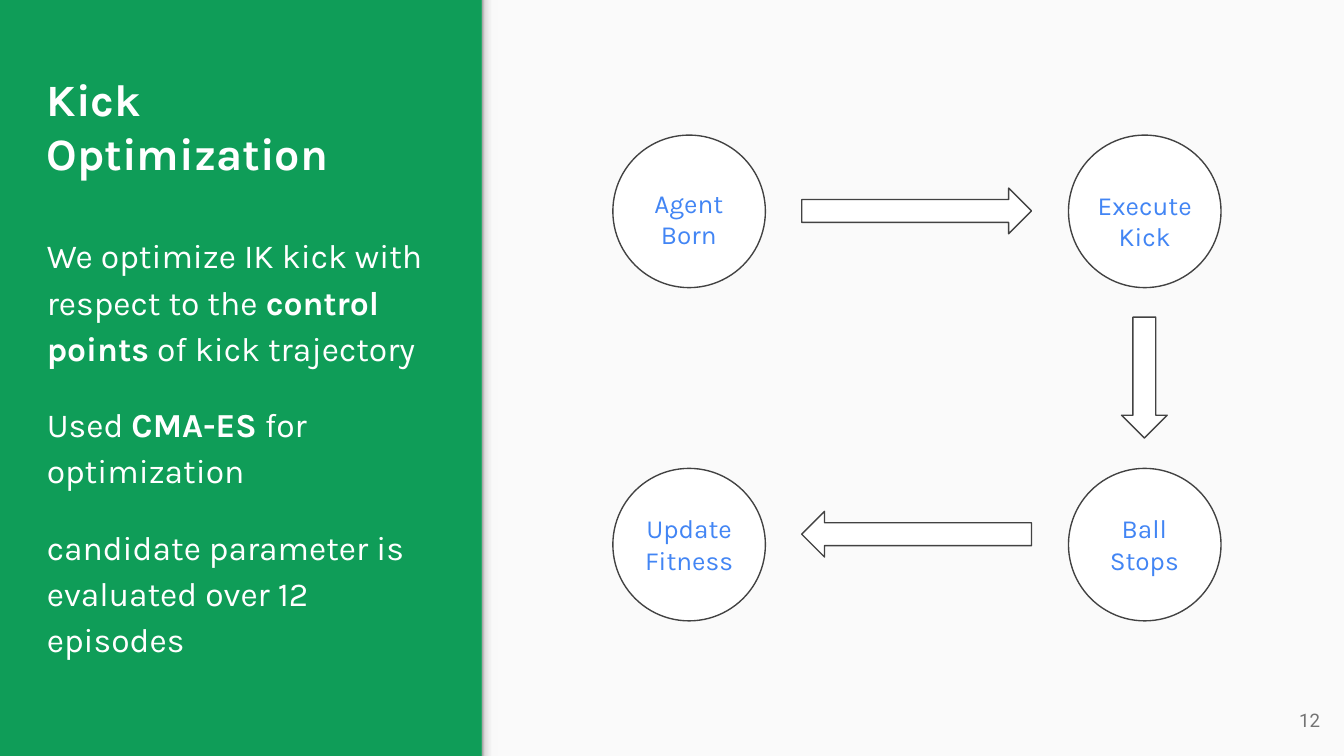
from lxml import etree
from pptx import Presentation
from pptx.dml.color import RGBColor
from pptx.enum.shapes import MSO_SHAPE
from pptx.enum.text import MSO_ANCHOR, PP_ALIGN
from pptx.oxml.ns import qn
from pptx.util import Pt

PX = 4572  # EMU per px, 200 px to the inch
WIDTH, HEIGHT = 2000, 1125
PANEL_LEFT = 717

GREEN = RGBColor(0x0F, 0x9D, 0x58)
PAPER = RGBColor(0xFA, 0xFA, 0xFA)
WHITE = RGBColor(0xFF, 0xFF, 0xFF)
OUTLINE = RGBColor(0x42, 0x42, 0x42)
BLUE = RGBColor(0x42, 0x85, 0xF4)
GRAY = RGBColor(0x73, 0x73, 0x73)
EDGE_STOPS = [
    (0, RGBColor(0x99, 0x99, 0x99)),
    (20, RGBColor(0xDE, 0xDE, 0xDE)),
    (64, RGBColor(0xF9, 0xF9, 0xF9)),
    (100, RGBColor(0xF9, 0xF9, 0xF9)),
]

RECTANGLE, OVAL = MSO_SHAPE.RECTANGLE, MSO_SHAPE.OVAL
RIGHT_ARROW, DOWN_ARROW, LEFT_ARROW = (
    MSO_SHAPE.RIGHT_ARROW, MSO_SHAPE.DOWN_ARROW, MSO_SHAPE.LEFT_ARROW)
TOP, MIDDLE, BOTTOM = MSO_ANCHOR.TOP, MSO_ANCHOR.MIDDLE, MSO_ANCHOR.BOTTOM
LEFT, CENTER, RIGHT = PP_ALIGN.LEFT, PP_ALIGN.CENTER, PP_ALIGN.RIGHT


class SlideBuilder:
    font = "Karla"
    inset = 20
    line_width = Pt(0.75)

    def __init__(self, slide):
        self.slide = slide

    def background(self, color):
        fill = self.slide.background.fill
        fill.solid()
        fill.fore_color.rgb = color

    def shape(self, kind, left, top, width, height, color, outline=None):
        shape = self.slide.shapes.add_shape(
            kind, left * PX, top * PX, width * PX, height * PX)
        shape.shadow.inherit = False
        shape.fill.solid()
        shape.fill.fore_color.rgb = color
        if outline is None:
            shape.line.fill.background()
        else:
            shape.line.color.rgb = outline
            shape.line.width = self.line_width
        return shape

    def gradient_strip(self, left, top, width, height, stops):
        """Add a rectangle shaded from left to right."""
        strip = self.shape(RECTANGLE, left, top, width, height, WHITE)
        strip.fill.gradient()
        strip.fill.gradient_angle = 0
        stop_list = next(strip._element.iter(qn("a:gsLst")))
        for stop in list(stop_list):
            stop_list.remove(stop)
        for percent, color in stops:
            stop = etree.SubElement(stop_list, qn("a:gs"), pos=str(percent * 1000))
            etree.SubElement(stop, qn("a:srgbClr"), val=str(color))

    def text(self, left, top, width, height, paragraphs, size, color,
             font=None, bold=False, align=LEFT, anchor=TOP,
             line_spacing=None, gap=0):
        """Add a text box; each paragraph is a list of spans, every second one bold."""
        box = self.slide.shapes.add_textbox(
            left * PX, top * PX, width * PX, height * PX)
        frame = box.text_frame
        frame.word_wrap = True
        frame.vertical_anchor = anchor
        frame.margin_left = frame.margin_right = self.inset * PX
        frame.margin_top = frame.margin_bottom = self.inset * PX
        for index, spans in enumerate(paragraphs):
            para = frame.paragraphs[0] if index == 0 else frame.add_paragraph()
            para.alignment = align
            if line_spacing:
                para.line_spacing = line_spacing
            if index and gap:
                para.space_before = Pt(gap)
            para.font.name = font or self.font
            para.font.size = Pt(size)
            para.font.color.rgb = color
            para.font.bold = bold
            for position, words in enumerate(spans):
                span = para.add_run()
                span.text = words
                if position % 2:
                    span.font.bold = True


def main():
    deck = Presentation()
    deck.slide_width, deck.slide_height = WIDTH * PX, HEIGHT * PX
    page = SlideBuilder(deck.slides.add_slide(deck.slide_layouts[6]))

    page.background(GREEN)
    page.shape(RECTANGLE, PANEL_LEFT, 0, WIDTH - PANEL_LEFT, HEIGHT, PAPER)
    page.gradient_strip(PANEL_LEFT, 0, 24, HEIGHT, EDGE_STOPS)

    page.text(50, 79, 614, 208, [["Kick Optimization"]], 24, WHITE,
              bold=True, anchor=BOTTOM)
    page.text(50, 321, 614, 692, [
        ["We optimize IK kick with respect to the ", "control points",
         " of kick trajectory"],
        ["Used ", "CMA-ES", " for optimization"],
        ["candidate parameter is evaluated over 12 episodes"],
    ], 18, WHITE, line_spacing=1.15, gap=16)
    page.text(1864, 1028, 120, 86, [["12"]], 10, GRAY, font="Roboto",
              align=RIGHT, anchor=MIDDLE)

    diameter = 227
    left_column, right_column = 912, 1590
    top_row, bottom_row = 201, 697
    steps = [
        ("Agent Born", left_column, top_row, 259, 168),
        ("Execute Kick", right_column, top_row, 262, diameter),
        ("Ball Stops", right_column, bottom_row, 743, 168),
        ("Update Fitness", left_column, bottom_row, 743, diameter),
    ]
    for label, left, top, label_top, label_width in steps:
        page.shape(OVAL, left, top, diameter, diameter, WHITE, OUTLINE)
        page.text(left + (diameter - label_width) // 2, label_top, label_width, 106,
                  [[label]], 14, BLUE, align=CENTER)

    length, thickness = 342, 68
    for kind, left, top, width, height in [
        (RIGHT_ARROW, 1193, 280, length, thickness),
        (DOWN_ARROW, 1669, 472, thickness, 180),
        (LEFT_ARROW, 1193, 761, length, thickness),
    ]:
        page.shape(kind, left, top, width, height, WHITE, OUTLINE)

    deck.save("out.pptx")


if __name__ == "__main__":
    main()
